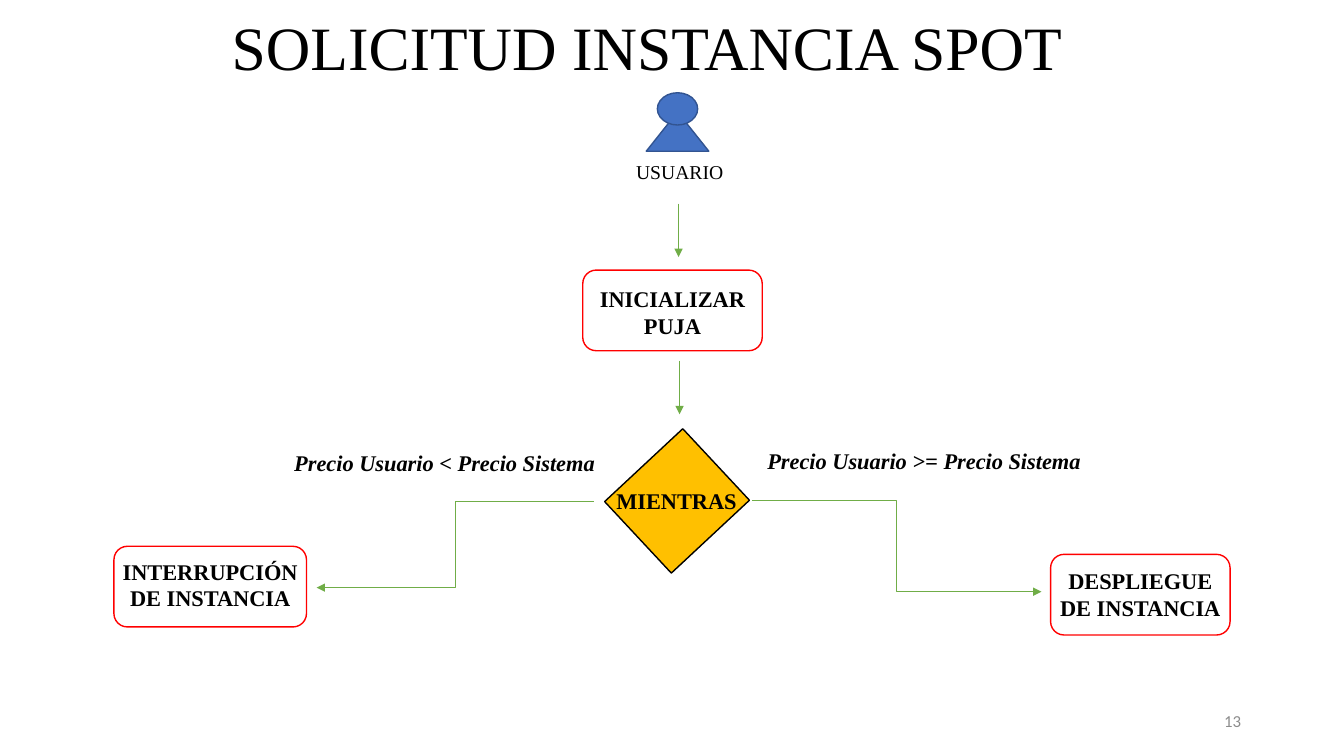
from dataclasses import dataclass

import pptx
import pptx.dml.color
import pptx.enum.shapes
import pptx.enum.text
import pptx.oxml.ns
import pptx.util
from lxml import etree

Inches = pptx.util.Inches
SHAPE = pptx.enum.shapes.MSO_SHAPE
LINK = pptx.enum.shapes.MSO_CONNECTOR
ALIGN = pptx.enum.text.PP_ALIGN
ANCHOR = pptx.enum.text.MSO_ANCHOR

COLORS = {
    "text": "000000",
    "number": "8C8C8C",
    "user": "4472C4",
    "user_line": "325491",
    "arrow": "70AD47",
    "step_line": "FF0000",
    "decision": "FFC000",
}


@dataclass(frozen=True)
class Box:
    left: float
    top: float
    width: float
    height: float

    def lengths(self) -> tuple:
        return tuple(Inches(v) for v in (self.left, self.top, self.width, self.height))


@dataclass(frozen=True)
class Step:
    text: str
    box: Box
    text_shift: float


@dataclass(frozen=True)
class Label:
    text: str
    box: Box
    size: int = 16
    bold: bool = True
    italic: bool = False
    font: str = "Times New Roman"
    color: str = "text"
    align: ALIGN = ALIGN.CENTER
    anchor: ANCHOR = ANCHOR.TOP


@dataclass(frozen=True)
class Arrow:
    kind: LINK
    start: tuple[float, float]
    end: tuple[float, float]


STEPS = [
    Step("INICIALIZAR PUJA", Box(5.78, 2.68, 1.78, 0.8), 0.02),
    Step("DESPLIEGUE DE INSTANCIA", Box(10.42, 5.5, 1.78, 0.8), -0.01),
    Step("INTERRUPCIÓN DE INSTANCIA", Box(1.13, 5.42, 1.91, 0.8), -0.02),
]
ARROWS = [
    Arrow(LINK.STRAIGHT, (6.73, 2.02), (6.73, 2.55)),
    Arrow(LINK.STRAIGHT, (6.74, 3.58), (6.74, 4.11)),
    Arrow(LINK.ELBOW, (7.46, 4.96), (10.33, 5.87)),
    Arrow(LINK.ELBOW, (5.89, 4.97), (3.14, 5.83)),
]
LABELS = [
    Label("USUARIO", Box(6.21, 1.54, 1.09, 0.34), size=14, bold=False, align=ALIGN.LEFT),
    Label("Precio Usuario >= Precio Sistema", Box(7.42, 4.39, 3.49, 0.37), italic=True),
    Label("Precio Usuario < Precio Sistema", Box(2.78, 4.41, 3.26, 0.37), italic=True),
    Label("MIENTRAS", Box(5.99, 4.78, 1.44, 0.37)),
    Label("13", Box(9.41, 6.95, 3, 0.4), size=12, bold=False, font="Calibri",
          color="number", align=ALIGN.RIGHT, anchor=ANCHOR.MIDDLE),
]


def rgb(name: str) -> pptx.dml.color.RGBColor:
    return pptx.dml.color.RGBColor.from_string(COLORS[name])


def write(tf, text: str, *, size: int = 16, bold: bool = False, italic: bool = False,
          font: str = "Times New Roman", color: str = "text",
          align: ALIGN = ALIGN.CENTER, anchor: ANCHOR = ANCHOR.MIDDLE) -> None:
    tf.word_wrap = True
    tf.auto_size = pptx.enum.text.MSO_AUTO_SIZE.NONE
    tf.vertical_anchor = anchor
    p = tf.paragraphs[0]
    p.alignment = align
    r = p.add_run()
    r.text = text
    r.font.name = font
    r.font.size = pptx.util.Pt(size)
    r.font.bold = bold
    r.font.italic = italic
    r.font.color.rgb = rgb(color)


def draw_shape(s, kind: SHAPE, box: Box, line: str, fill: str | None = None):
    sp = s.shapes.add_shape(kind, *box.lengths())
    sp.shadow.inherit = False
    if fill:
        sp.fill.solid()
        sp.fill.fore_color.rgb = rgb(fill)
    else:
        sp.fill.background()
    sp.line.color.rgb = rgb(line)
    sp.line.width = pptx.util.Pt(1)
    return sp


def draw_title(s, text: str) -> None:
    sp = s.shapes.title
    sp.left, sp.top, sp.width, sp.height = Box(0.67, 0.07, 11.5, 0.81).lengths()
    write(sp.text_frame, text, size=44, anchor=ANCHOR.BOTTOM)
    sp.text_frame.paragraphs[0].line_spacing = 0.9


def draw_user(s) -> None:
    for kind, box in ((SHAPE.ISOSCELES_TRIANGLE, Box(6.41, 1.11, 0.62, 0.39)),
                      (SHAPE.OVAL, Box(6.52, 0.92, 0.4, 0.32))):
        draw_shape(s, kind, box, "user_line", "user")


def draw_step(s, step: Step) -> None:
    sp = draw_shape(s, SHAPE.ROUNDED_RECTANGLE, step.box, "step_line")
    tf = sp.text_frame
    tf.margin_left = tf.margin_right = Inches(0.02)
    tf.margin_top = Inches(0.05 + step.text_shift)
    tf.margin_bottom = Inches(0.05 - step.text_shift)
    write(tf, step.text, bold=True)


def draw_arrow(s, arrow: Arrow) -> None:
    points = [Inches(v) for v in (*arrow.start, *arrow.end)]
    cxn = s.shapes.add_connector(arrow.kind, *points)
    cxn.line.color.rgb = rgb("arrow")
    cxn.line.width = pptx.util.Pt(0.5)
    qn = pptx.oxml.ns.qn
    spPr = cxn.element.spPr
    etree.SubElement(spPr.find(qn("a:ln")), qn("a:tailEnd"), type="triangle")
    etree.SubElement(spPr, qn("a:effectLst"))


def draw_label(s, label: Label) -> None:
    sp = s.shapes.add_textbox(*label.box.lengths())
    write(sp.text_frame, label.text, size=label.size, bold=label.bold,
          italic=label.italic, font=label.font, color=label.color,
          align=label.align, anchor=label.anchor)


def main() -> None:
    prs = pptx.Presentation()
    prs.slide_width, prs.slide_height = Inches(13.33), Inches(7.5)
    s = prs.slides.add_slide(prs.slide_layouts.get_by_name("Title Only"))
    draw_title(s, "SOLICITUD INSTANCIA SPOT")
    draw_user(s)
    for step in STEPS:
        draw_step(s, step)
    decision = draw_shape(s, SHAPE.RECTANGLE, Box(6.23, 4.44, 0.97, 1.06),
                          "text", "decision")
    decision.rotation = 47
    for arrow in ARROWS:
        draw_arrow(s, arrow)
    for label in LABELS:
        draw_label(s, label)
    prs.save("out.pptx")


if __name__ == "__main__":
    main()
